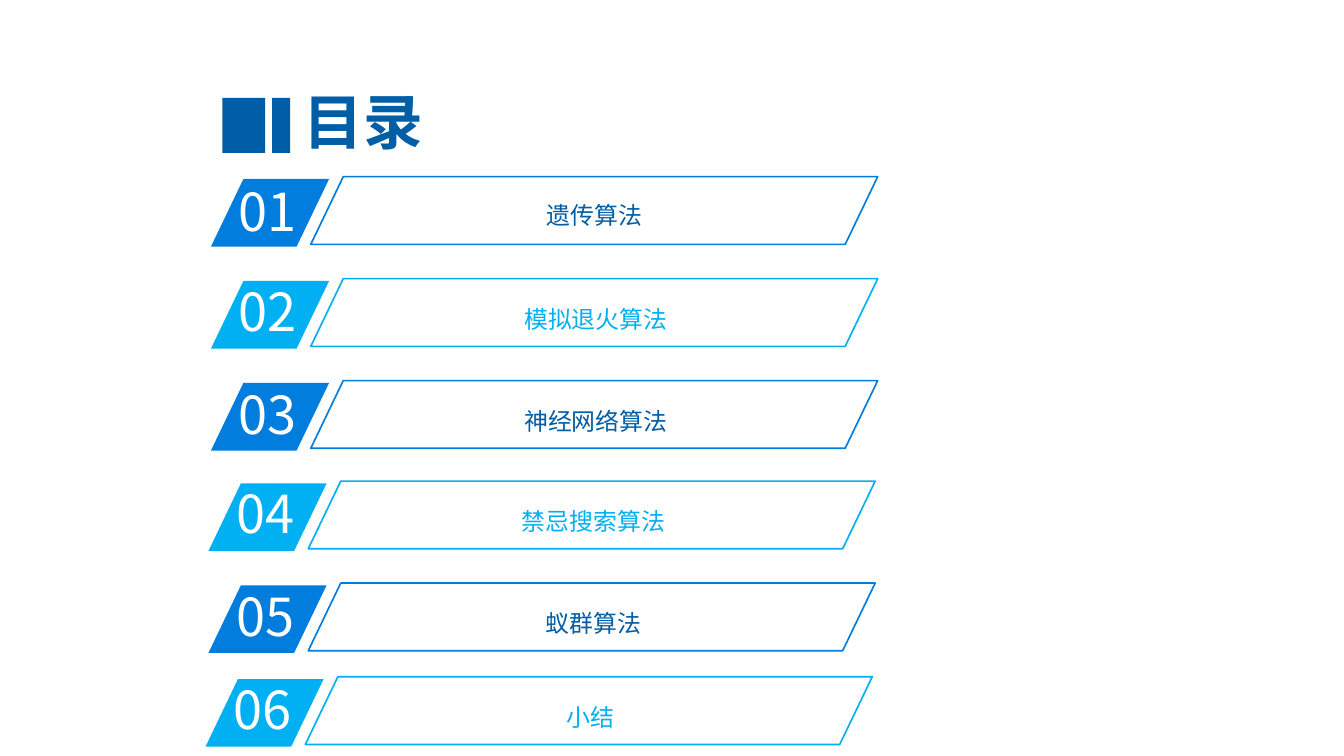
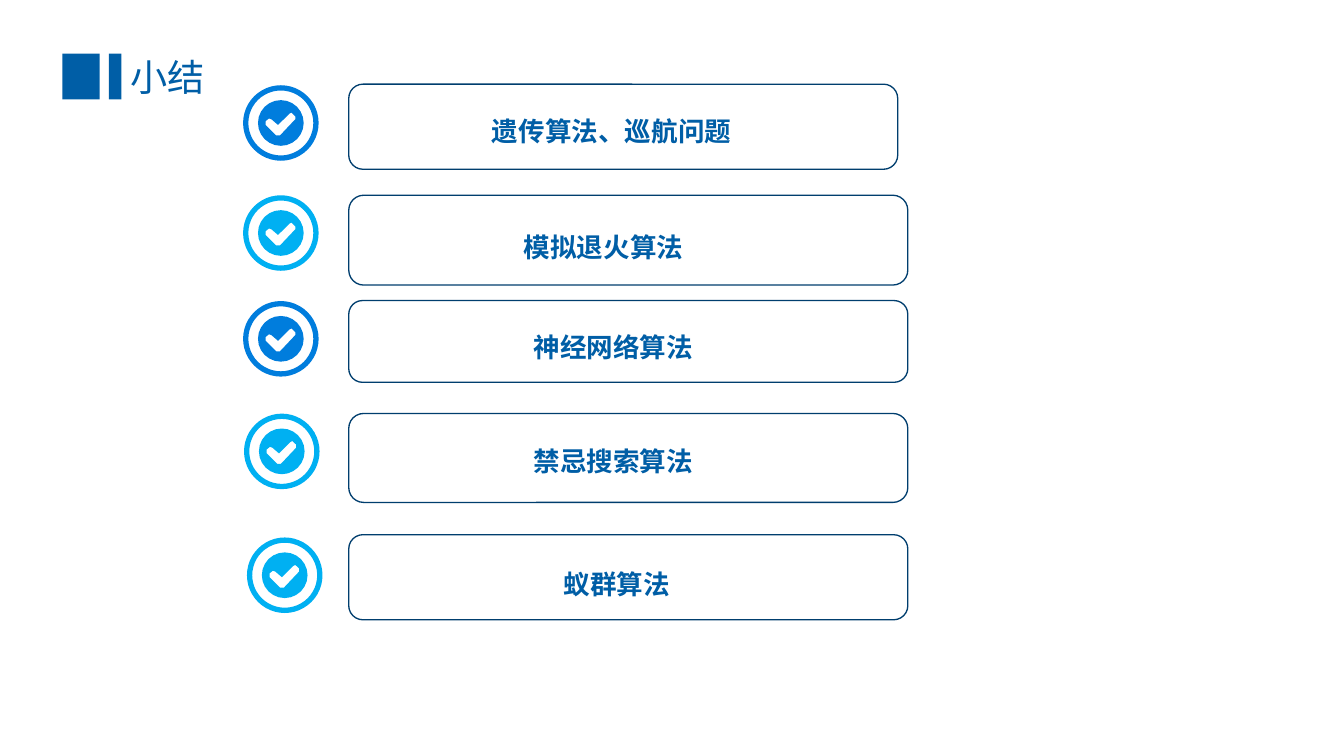
import math
from pptx import Presentation
from pptx import util as u
from pptx.dml.color import RGBColor
from pptx.enum import shapes, text
from pptx.oxml.ns import qn
from lxml import etree

# Shared style
C = {"navy": "005EA6", "blue": "007DDD", "sky": "00B0F2",
     "outline": "003E6E", "white": "FFFFFF"}
FONT = "Noto Sans CJK SC"
SHAPE = shapes.MSO_SHAPE
ALIGN = text.PP_ALIGN

prs = Presentation()
prs.slide_width, prs.slide_height = u.Pt(1012.32), u.Pt(569.52)


def add_box(s, kind, box, fill=None, line=None, width=1, adj=None):
    sp = s.shapes.add_shape(kind, *[u.Pt(v) for v in box])
    sp.shadow.inherit = False
    if adj is not None:
        sp.adjustments[0] = adj
    if fill:
        sp.fill.solid()
        sp.fill.fore_color.rgb = RGBColor.from_string(C[fill])
    else:
        sp.fill.background()
    if line:
        sp.line.color.rgb = RGBColor.from_string(C[line])
        sp.line.width = u.Pt(width)
    else:
        sp.line.fill.background()


def add_text(s, box, words, size, color, align=ALIGN.LEFT, bold=False,
             spacing=None, anchor=text.MSO_ANCHOR.TOP, wrap=True):
    tf = s.shapes.add_textbox(*[u.Pt(v) for v in box]).text_frame
    tf.word_wrap = wrap
    tf.vertical_anchor = anchor
    if anchor == text.MSO_ANCHOR.TOP:
        tf.auto_size = text.MSO_AUTO_SIZE.SHAPE_TO_FIT_TEXT
    p = tf.paragraphs[0]
    p.text = words
    p.alignment = align
    if spacing:
        p.line_spacing = spacing
    f = p.font
    f.size, f.bold, f.name = u.Pt(size), bold, FONT
    f.color.rgb = RGBColor.from_string(C[color])
    # East Asian typeface follows the Latin one
    ea = etree.SubElement(p._p.pPr.find(qn("a:defRPr")), qn("a:ea"))
    ea.set("typeface", FONT)


# Contents slide: title
s = prs.slides.add_slide(prs.slide_layouts[6])
for left, width in ((167.4, 32.4), (204.9, 13.7)):
    add_box(s, SHAPE.RECTANGLE, (left, 73.8, width, 41.5), "navy")
add_text(s, (149, 63.4, 249.8, 54.7), "目录", 45, "navy", ALIGN.CENTER, True,
         anchor=text.MSO_ANCHOR.MIDDLE)

# Contents slide: plate left and top, number top, label left and top, label
entries = [
    (158.9, 134.8, 131.8, 290.9, 136.8, "遗传算法"),
    (158.9, 211.6, 206.6, 292.2, 215, "模拟退火算法"),
    (158.9, 288.4, 284.4, 292.2, 291.6, "神经网络算法"),
    (157, 364.1, 359.3, 290.4, 367.2, "禁忌搜索算法"),
    (157, 440.9, 436.7, 290.4, 444, "蚁群算法"),
    (154.8, 511.5, 506.9, 288, 514.8, "小结"),
]
for i, (left, top, num_top, label_left, label_top, label) in enumerate(entries):
    accent, ink = (("blue", "navy"), ("sky", "sky"))[i % 2]
    add_box(s, SHAPE.PARALLELOGRAM, (left, top, 89, 51), accent, adj=0.48)
    add_text(s, (left + 14, num_top, 85, 54.7), f"{i + 1:02d}", 39.4, "white")
    add_text(s, (label_left, label_top, 313.2, 35.3), label, 18, ink,
             ALIGN.CENTER, spacing=1.5)
    add_box(s, SHAPE.PARALLELOGRAM, (left + 75.2, top - 1.7, 427, 51),
            line=accent, width=1.25, adj=0.48)

# Summary slide: title
s = prs.slides.add_slide(prs.slide_layouts[6])
for left, width in ((47, 28.1), (82.1, 9.4)):
    add_box(s, SHAPE.RECTANGLE, (left, 40.5, width, 34.4), "navy")
add_text(s, (91.4, 37.4, 381.6, 41), "小结", 28, "navy")

# Summary slide: tick outline inside its disc, and the disc's circle
RING, DISC, SIDES = 56.9, 34.4, 24
tick = [(28.1, 12.2), (25.2, 9.4), (23.8, 10.1), (15.1, 18.7), (10.1, 14.4),
        (8.3, 13.8), (5.8, 15.8), (5.8, 18.7), (13.7, 26.6), (16.6, 26.6),
        (28.1, 14.4)]
circle = [(DISC / 2 * (1 + math.cos(a)), DISC / 2 * (1 + math.sin(a)))
          for a in (math.tau * n / SIDES for n in range(SIDES))]

# Ring left and top, accent, panel (top, right, height), label box, label
topics = [
    (183.1, 64.2, "blue", (63.4, 676.2, 64.1), (363.4, 78.5, 216.7), "遗传算法、巡航问题"),
    (183.1, 147.1, "sky", (147.1, 683.8, 67.7), (387.4, 165.6, 134.4), "模拟退火算法"),
    (183.1, 226.8, "blue", (226.4, 683.8, 61.6), (394.7, 241.2, 134.4), "神经网络算法"),
    (183.8, 311.6, "sky", (311.5, 683.8, 67), (394.7, 326.5, 134.4), "禁忌搜索算法"),
    (186, 404.9, "sky", (402.8, 683.8, 64.1), (417.6, 419.8, 94.4), "蚁群算法"),
]
for i, (left, top, accent, (panel_top, right, height), label_box, label) in enumerate(topics):
    add_box(s, SHAPE.DONUT, (left, top, RING, RING), accent, adj=0.07)
    # Disc with the tick cut out
    inset = (RING - DISC) / 2
    disc, hole = [[(u.Pt(left + inset + x), u.Pt(top + inset + y)) for x, y in outline]
                  for outline in (circle, tick)]
    fb = s.shapes.build_freeform(*disc[0])
    fb.add_line_segments(disc[1:], close=True)
    fb.move_to(*hole[0])
    fb.add_line_segments(hole[1:], close=True)
    sp = fb.convert_to_shape()
    sp.shadow.inherit = False
    sp.fill.solid()
    sp.fill.fore_color.rgb = RGBColor.from_string(C[accent])
    sp.line.fill.background()
    # Panel and label
    add_box(s, SHAPE.ROUNDED_RECTANGLE, (262.7, panel_top, right - 262.7, height),
            line="outline")
    add_text(s, (*label_box, 32.4), label, 20, "navy", ALIGN.JUSTIFY, True, 1.2,
             wrap=i == 0)

prs.save("out.pptx")
